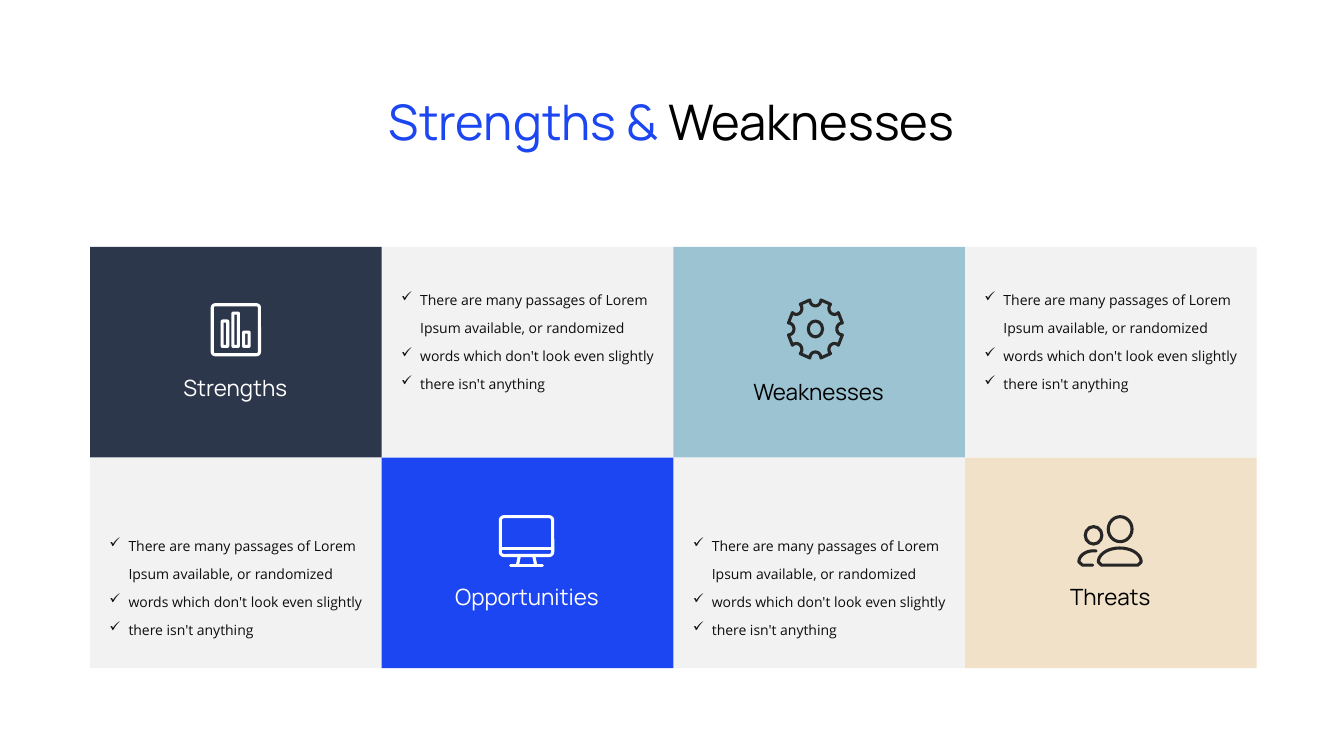
from dataclasses import dataclass
from math import cos, radians, sin

from lxml import etree
from pptx import Presentation
from pptx.dml.color import RGBColor
from pptx.enum.shapes import MSO_CONNECTOR, MSO_SHAPE
from pptx.enum.text import MSO_ANCHOR, MSO_AUTO_SIZE, PP_ALIGN
from pptx.oxml.ns import qn
from pptx.util import Cm, Pt

RECT, ROUND, OVAL = MSO_SHAPE.RECTANGLE, MSO_SHAPE.ROUNDED_RECTANGLE, MSO_SHAPE.OVAL
LINE = MSO_CONNECTOR.STRAIGHT
TOP, MID = MSO_ANCHOR.TOP, MSO_ANCHOR.MIDDLE
GROW = MSO_AUTO_SIZE.SHAPE_TO_FIT_TEXT
LEFT, CENTER = PP_ALIGN.LEFT, PP_ALIGN.CENTER


@dataclass(frozen=True)
class Theme:
    blue: str = "1C46F2"
    navy: str = "2D374B"
    sky: str = "9BC3D2"
    sand: str = "F0E1C8"
    pale: str = "F2F2F2"
    white: str = "FFFFFF"
    black: str = "000000"
    ink: str = "0D0D0D"
    dark: str = "262626"
    head: str = "Manrope"
    body: str = "Open Sans"
    title: float = 35
    label: float = 16
    text: float = 10
    stroke: float = 2.2


@dataclass(frozen=True)
class Topic:
    name: str
    col: int
    row: int
    fill: str
    color: str
    pen: str
    drop: float  # label top inside its cell


T = Theme()
GRID_X, GRID_Y, CELL_W, CELL_H = 2.27, 6.22, 7.35, 5.31
TOPICS = [
    Topic("Strengths", 0, 0, T.navy, T.white, T.white, 3.28),
    Topic("Weaknesses", 2, 0, T.sky, T.black, T.dark, 3.38),
    Topic("Opportunities", 1, 1, T.blue, T.white, T.white, 3.25),
    Topic("Threats", 3, 1, T.sand, T.black, T.dark, 3.25),
]
POINTS = [
    "There are many passages of Lorem Ipsum available, or randomized",
    "words which don't look even slightly",
    "there isn't anything",
]
NOTE_Y = [0.71, 1.6]  # note top inside its cell, by row

deck = Presentation()
deck.slide_width, deck.slide_height = Cm(33.87), Cm(19.05)
slide = deck.slides.add_slide(deck.slide_layouts[5])
shapes = slide.shapes


def apply(item: object, **vals: object) -> None:
    for key, val in vals.items():
        setattr(item, key, val)


def style(font: object, name: str, size: float, color: str) -> None:
    apply(font, name=name, size=Pt(size))
    font.color.rgb = RGBColor.from_string(color)


def cell(col: int, row: int, fill: str) -> None:
    box = shapes.add_shape(RECT, Cm(GRID_X + col * CELL_W), Cm(GRID_Y + row * CELL_H),
                           Cm(CELL_W), Cm(CELL_H))
    box.shadow.inherit = False
    box.fill.solid()
    box.fill.fore_color.rgb = RGBColor.from_string(fill)
    box.line.fill.background()


def note(col: int, row: int) -> None:
    box = shapes.add_textbox(Cm(GRID_X + col * CELL_W + 0.24),
                             Cm(GRID_Y + row * CELL_H + NOTE_Y[row]), Cm(7.09), Cm(3.02))
    frame = box.text_frame
    apply(frame, word_wrap=True, auto_size=GROW)
    for num, text in enumerate(POINTS):
        para = frame.add_paragraph() if num else frame.paragraphs[0]
        props = para._p.get_or_add_pPr()
        props.set("marL", str(Cm(0.48)))
        props.set("indent", str(-Cm(0.48)))
        etree.SubElement(props, qn("a:buChar")).set("char", "✓")
        apply(para, text=text, alignment=LEFT, line_spacing=Pt(20))
        style(para.runs[0].font, T.body, T.text, T.ink)


def label(topic: Topic) -> None:
    box = shapes.add_textbox(Cm(GRID_X + topic.col * CELL_W + 0.88),
                             Cm(GRID_Y + topic.row * CELL_H + topic.drop), Cm(5.56), Cm(0.61))
    frame = box.text_frame
    apply(frame, word_wrap=True, auto_size=GROW, vertical_anchor=MID,
          margin_left=0, margin_right=0, margin_top=0, margin_bottom=0)
    para = frame.paragraphs[0]
    apply(para, text=topic.name, alignment=CENTER, line_spacing=0.9)
    style(para.runs[0].font, T.head, T.label, topic.color)


def arc(x: float, y: float, wide: float, high: float,
        start: int, stop: int, step: int) -> list[tuple[float, float]]:
    return [(x + wide * cos(radians(a)), y - high * sin(radians(a)))
            for a in range(start, stop, step)]


class Pen:
    """Draws icon strokes, measured in cm from the corner of a cell."""

    def __init__(self, topic: Topic) -> None:
        self.left = GRID_X + topic.col * CELL_W
        self.top = GRID_Y + topic.row * CELL_H
        self.color = topic.pen

    def spot(self, x: float, y: float) -> tuple[int, int]:
        return Cm(self.left + x), Cm(self.top + y)

    def ink(self, item: object) -> None:
        item.line.color.rgb = RGBColor.from_string(self.color)
        item.line.width = Pt(T.stroke)
        item._element.spPr.find(qn("a:ln")).set("cap", "rnd")

    def form(self, kind: int, x: float, y: float, wide: float, high: float,
             bend: float = 0) -> None:
        item = shapes.add_shape(kind, *self.spot(x, y), Cm(wide), Cm(high))
        if kind == ROUND:
            item.adjustments[0] = bend
        item.shadow.inherit = False
        item.fill.background()
        self.ink(item)

    def rule(self, x: float, y: float, end_x: float, end_y: float) -> None:
        item = shapes.add_connector(LINE, *self.spot(x, y), *self.spot(end_x, end_y))
        self.ink(item)
        etree.SubElement(item._element.spPr, qn("a:effectLst"))

    def curve(self, dots: list[tuple[float, float]], close: bool) -> None:
        spots = [self.spot(*dot) for dot in dots]
        build = shapes.build_freeform(*spots[0])
        build.add_line_segments(spots[1:], close=close)
        item = build.convert_to_shape()
        item.shadow.inherit = False
        item.fill.background()
        self.ink(item)


def chart(pen: Pen) -> None:
    pen.form(ROUND, 3.08, 1.46, 1.19, 1.26, 0.06)
    for num, high in enumerate([0.64, 0.84, 0.36]):
        pen.form(ROUND, 3.33 + 0.27 * num, 2.51 - high, 0.14, high, 0.1)


def gear(pen: Pen) -> None:
    x, y = 3.58, 2.07
    rim = []
    for turn in range(0, 360, 45):  # eight round notches
        notch = arc(0.72 * cos(radians(turn)), -0.72 * sin(radians(turn)),
                    0.15, 0.15, turn + 270, turn + 89, -15)
        mid = arc(0, 0, 0.73, 0.73, turn, turn + 1, 1)[0]
        rim += [(x + 0.93 * dx, y + dy) for dx, dy in
                arc(mid[0], mid[1], 0.15, 0.15, turn + 270, turn + 89, -15)]
    pen.curve(rim, True)
    pen.form(OVAL, x - 0.18, y - 0.2, 0.36, 0.4)


def screen(pen: Pen) -> None:
    pen.form(ROUND, 2.99, 1.49, 1.32, 0.98, 0.09)
    for ends in [(2.99, 2.3, 4.31, 2.3), (3.47, 2.47, 3.42, 2.71),
                 (3.83, 2.47, 3.88, 2.71), (3.25, 2.71, 4.05, 2.71)]:
        pen.rule(*ends)


def people(pen: Pen) -> None:
    pen.form(OVAL, 3.61, 1.49, 0.6, 0.63)
    pen.form(OVAL, 3.03, 1.74, 0.42, 0.44)
    pen.curve(arc(3.9, 2.63, 0.54, 0.35, 0, 181, 10) + [(3.44, 2.71), (4.36, 2.71)], True)
    pen.curve([(3.22, 2.71), (2.96, 2.71)] + arc(3.24, 2.63, 0.37, 0.28, 180, 79, -10), False)


# Title
title = shapes.title
apply(title, left=Cm(8), top=Cm(2.08), width=Cm(17.86), height=Cm(1.8))
apply(title.text_frame, word_wrap=True, auto_size=GROW, vertical_anchor=TOP)
para = title.text_frame.paragraphs[0]
apply(para, alignment=CENTER, line_spacing=Pt(45))
for text, color in [("Strengths & ", T.blue), ("Weaknesses", T.black)]:
    run = para.add_run()
    run.text = text
    style(run.font, T.head, T.title, color)

# Checkerboard of notes and topics
for row in range(2):
    for col in range(1 - row, 4, 2):
        cell(col, row, T.pale)
        note(col, row)
for topic, draw in zip(TOPICS, [chart, gear, screen, people]):
    cell(topic.col, topic.row, topic.fill)
    draw(Pen(topic))
    label(topic)

deck.save("out.pptx")
